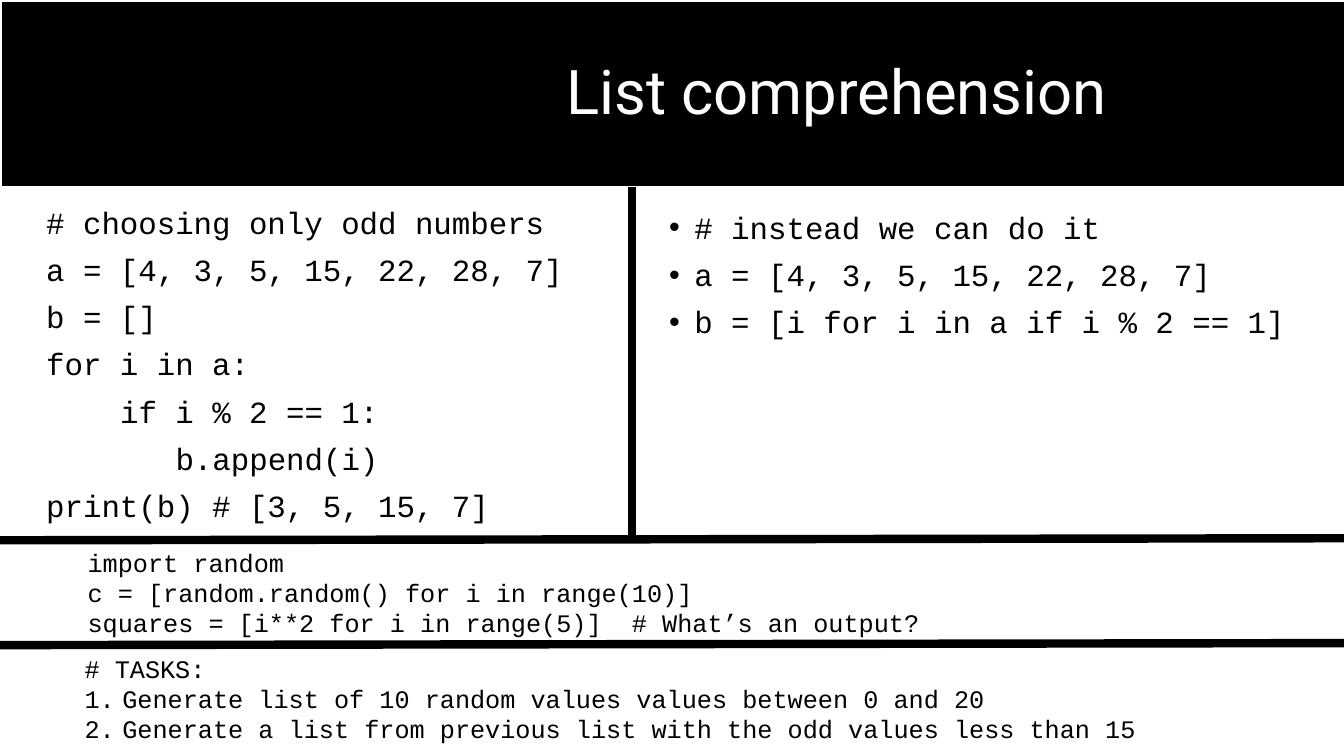
from lxml.etree import SubElement
from pptx import Presentation
from pptx.dml.color import RGBColor
from pptx.enum.shapes import MSO_CONNECTOR as CONN, MSO_SHAPE as SHAPE
from pptx.enum.text import MSO_ANCHOR as ANCHOR, MSO_AUTO_SIZE as AUTO, PP_ALIGN as ALIGN
from pptx.oxml.ns import qn
from pptx.util import Pt

BLACK = RGBColor(0, 0, 0)
WHITE = RGBColor(255, 255, 255)
WIDTH, HEIGHT = 960, 540
CHAR = 13.2
LIST_CODE = "a = [4, 3, 5, 15, 22, 28, 7]"
BULLET = ("a:buChar", {"char": "•"}, 18)
NUMBER = ("a:buAutoNum", {"type": "arabicPeriod"}, 27)
LOOSE = {"line_spacing": 0.9, "space_before": Pt(10)}


class Deck:
    """Holds the code style and the current slide, and draws its elements."""

    def __init__(self, prs):
        self.slide = prs.slides.add_slide(prs.slide_layouts[6])
        self.code = {"name": "Courier New", "color": BLACK}
        self.title = {"name": "Roboto", "size": Pt(44), "color": WHITE}

    def fill_paragraph(self, p, text, font, layout, left=0, marker=None):
        r = p.add_run()
        r.text = text
        for name, value in font.items():
            if name == "color":
                r.font.color.rgb = value
            else:
                setattr(r.font, name, value)
        for name, value in layout.items():
            setattr(p, name, value)
        pPr = p._p.get_or_add_pPr()
        hang = marker[2] if marker else 0
        pPr.set("marL", str(Pt(left + hang)))
        pPr.set("indent", str(Pt(-hang)))
        if marker:
            SubElement(pPr, qn("a:buFont"), typeface="Arial" if marker is BULLET else "Courier New")
            SubElement(pPr, qn(marker[0]), marker[1])

    def banner(self, x, y, w, h, text, left):
        s = self.slide.shapes.add_shape(SHAPE.RECTANGLE, Pt(x), Pt(y), Pt(w), Pt(h))
        s.shadow.inherit = False
        s.fill.solid()
        s.fill.fore_color.rgb = BLACK
        s.line.color.rgb = WHITE
        s.line.width = Pt(1.5)
        tf = s.text_frame
        tf.vertical_anchor = ANCHOR.MIDDLE
        self.fill_paragraph(tf.paragraphs[0], text, self.title,
                            {"alignment": ALIGN.CENTER, "line_spacing": 0.9}, left)

    def listing(self, x, y, w, h, size, lines, layout, auto=AUTO.NONE):
        tf = self.slide.shapes.add_textbox(Pt(x), Pt(y), Pt(w), Pt(h)).text_frame
        tf.word_wrap = True
        tf.auto_size = auto
        font = {**self.code, "size": Pt(size)}
        for i, (text, left, marker) in enumerate(lines):
            p = tf.add_paragraph() if i else tf.paragraphs[0]
            self.fill_paragraph(p, text, font, layout, left, marker)

    def rule(self, x1, y1, x2, y2):
        s = self.slide.shapes.add_connector(CONN.STRAIGHT, Pt(x1), Pt(y1), Pt(x2), Pt(y2))
        s.line.color.rgb = BLACK
        s.line.width = Pt(6)
        SubElement(s._element.spPr, qn("a:effectLst"))


prs = Presentation()
prs.slide_width, prs.slide_height = Pt(WIDTH), Pt(HEIGHT)
deck = Deck(prs)

deck.banner(0.72, 0.72, WIDTH, 133.2, "List comprehension", 234)

loop = [("# choosing only odd numbers", 0), (LIST_CODE, 0), ("b = []", 0), ("for i in a:", 0),
        ("if i % 2 == 1:", 4), ("b.append(i)", 7), ("print(b) # [3, 5, 15, 7]", 0)]
deck.listing(25.92, 144.72, 406.8, 342.72, 22,
             [(text, chars * CHAR, None) for text, chars in loop], LOOSE)

short = ["# instead we can do it", LIST_CODE, "b = [i for i in a if i % 2 == 1]"]
deck.listing(470.88, 148.32, 475.92, 342.72, 22, [(text, 0, BULLET) for text in short], LOOSE)

deck.rule(451.44, 133.92, 451.44, 387.36)

examples = ["import random", "c = [random.random() for i in range(10)]",
            "squares = [i**2 for i in range(5)]  # What’s an output?"]
deck.listing(55.44, 387.36, 843.12, 94.32, 18,
             [(text, 0, None) for text in examples], {}, AUTO.SHAPE_TO_FIT_TEXT)

for y in (385.92, 460.8):
    deck.rule(0, y, WIDTH, y - 1.44)

tasks = [("# TASKS:", 0, None),
         ("Generate list of 10 random values values between 0 and 20", 0, NUMBER),
         ("Generate a list from previous list with the odd values less than 15", 0, NUMBER)]
deck.listing(53.28, 462.96, 843.12, 72.72, 18, tasks, {}, AUTO.SHAPE_TO_FIT_TEXT)

prs.save("out.pptx")
